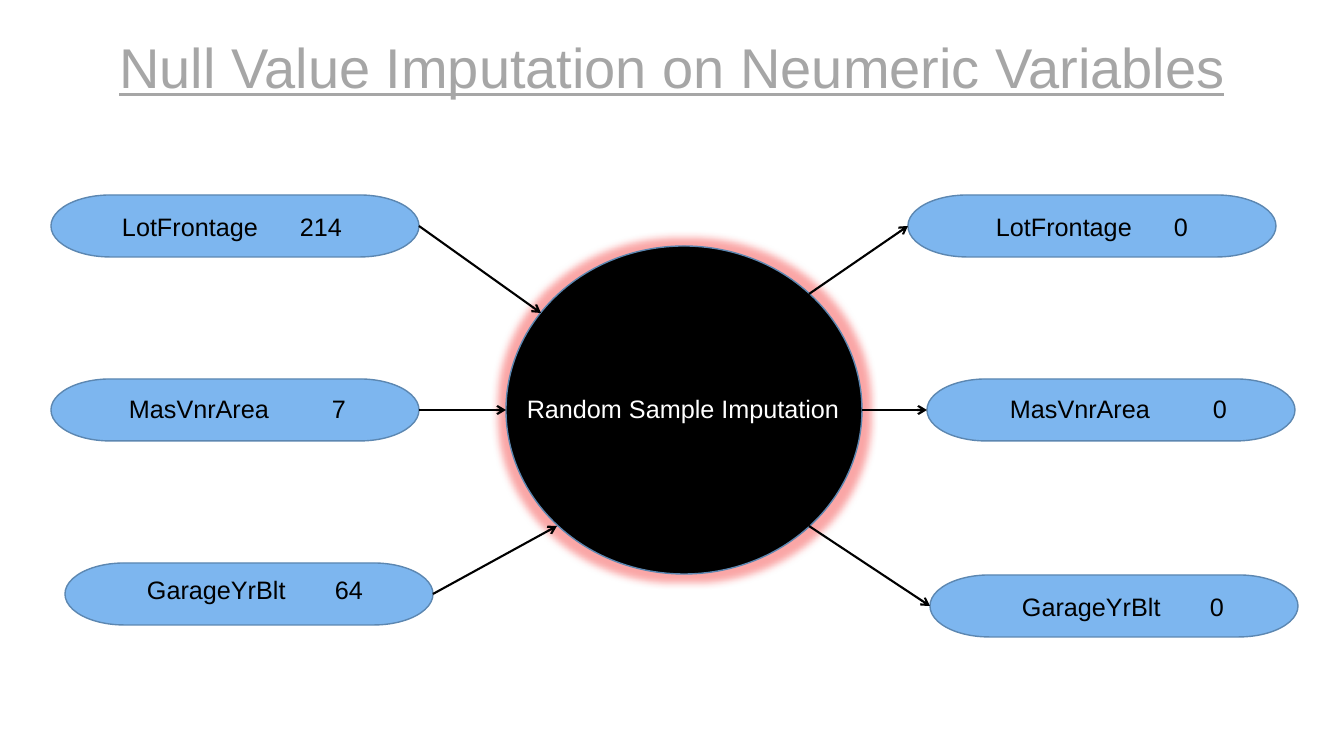
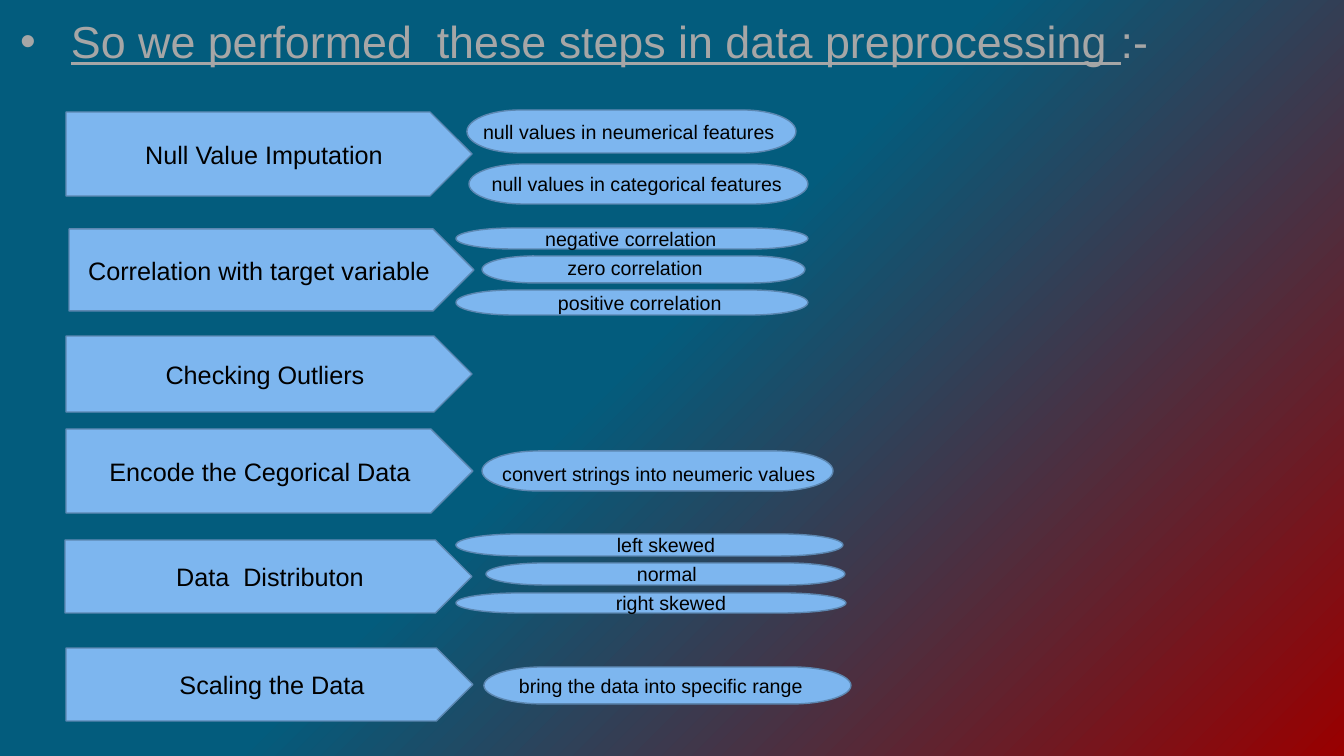
from dataclasses import dataclass

from lxml.etree import SubElement
from pptx import Presentation
from pptx.dml.color import RGBColor
from pptx.enum.shapes import MSO_CONNECTOR, MSO_SHAPE
from pptx.enum.text import MSO_ANCHOR, PP_ALIGN
from pptx.oxml.ns import qn
from pptx.util import Emu, Pt


@dataclass(frozen=True)
class Theme:
    font: str = "Arial"
    heading: str = "A6A6A6"
    node_fill: str = "7DB6EF"
    node_line: str = "5C87B1"
    dark: str = "000000"
    light: str = "FFFFFF"
    glow: str = "F32222"
    gradient: tuple = ((0, "990000"), (0.53, "035C7D"))
    title_size: int = 40
    subtitle_size: int = 32
    label_size: int = 18
    detail_size: int = 14


THEME = Theme()
SLIDE_WIDTH, SLIDE_HEIGHT = 1344, 756
EMU_PER_PX = 12192000 / SLIDE_WIDTH

NODE_WIDTH, NODE_HEIGHT = 368, 62
CIRCLE = (506, 246, 356, 328)
TERMINATOR_INSET = 1018 / 21600  # share of the width outside the text area

# variable, distance from its name to its null count
VALUE_GAPS = {"LotFrontage": 178, "MasVnrArea": 203, "GarageYrBlt": 188}

# variable, count, left, top, text left, text nudge, arrow end on the circle
BEFORE = (
    ("LotFrontage", "214", 51, 195, 122, 0, (541, 313)),
    ("MasVnrArea", "7", 51, 379, 129, -2, (506, 410)),
    ("GarageYrBlt", "64", 65, 563, 147, -5, (557, 526)),
)
AFTER = (
    ("LotFrontage", "0", 908, 195, 996, 0, (809, 294)),
    ("MasVnrArea", "0", 927, 379, 1010, -2, (862, 410)),
    ("GarageYrBlt", "0", 930, 575, 1022, 0, (809, 526)),
)

# text, box, text centre
STEPS = (
    ("Null Value Imputation", (66, 112, 406, 84), 264),
    ("Correlation with target variable", (69, 229, 405, 82), 259),
    ("Checking Outliers", (66, 336, 406, 76), 265),
    ("Encode the Cegorical Data", (66, 429, 407, 84), 260),
    ("Data  Distributon", (65, 540, 407, 73), 270),
    ("Scaling the Data", (66, 648, 407, 73), 272),
)
# text, box, text centre, text nudge
DETAILS = (
    ("null values in neumerical features", (467, 110, 329, 43), 629, 0),
    ("null values in categorical features", (469, 164, 339, 40), 637, 0),
    ("negative correlation", (456, 228, 352, 21), 631, 0),
    ("zero correlation", (482, 256, 323, 27), 635, -2),
    ("positive correlation", (456, 290, 352, 25), 640, 0),
    ("convert strings into neumeric values", (482, 451, 351, 40), 659, 3),
    ("left skewed", (456, 534, 387, 22), 666, 0),
    ("normal", (486, 563, 359, 22), 667, 0),
    ("right skewed", (456, 593, 390, 20), 671, 0),
    ("bring the data into specific range", (484, 667, 367, 37), 661, 0),
)


def px(length):
    return Emu(round(length * EMU_PER_PX))


def rgb(value):
    return RGBColor.from_string(value)


def add_run(paragraph, text, size, color, underline=False):
    run = paragraph.add_run()
    run.text = text
    run.font.name = THEME.font
    run.font.size = Pt(size)
    run.font.color.rgb = rgb(color)
    run.font.underline = underline


def add_text_box(slide, box, anchor):
    frame = slide.shapes.add_textbox(*map(px, box)).text_frame
    frame.word_wrap = True
    frame.vertical_anchor = anchor
    frame.margin_left = frame.margin_right = px(10)
    frame.margin_top = frame.margin_bottom = px(5)
    return frame


def add_node(slide, kind, box, fill=THEME.node_fill):
    shape = slide.shapes.add_shape(kind, *map(px, box))
    shape.shadow.inherit = False
    shape.fill.solid()
    shape.fill.fore_color.rgb = rgb(fill)
    shape.line.color.rgb = rgb(THEME.node_line)
    shape.line.width = Pt(1)
    return shape


def prepare_label(shape, left=0, right=0, nudge=0):
    """Set the insets; nudge moves the centred line down, or up if negative."""
    frame = shape.text_frame
    frame.vertical_anchor = MSO_ANCHOR.MIDDLE
    frame.margin_left, frame.margin_right = px(left), px(right)
    frame.margin_top = px(max(0, 2 * nudge))
    frame.margin_bottom = px(max(0, -2 * nudge))
    return frame


def label_centred(shape, text, size, color=THEME.dark, shift=0, nudge=0):
    """Write one unwrapped line, moved right by shift."""
    frame = prepare_label(shape, max(0, 2 * shift), max(0, -2 * shift), nudge)
    frame.word_wrap = False
    paragraph = frame.paragraphs[0]
    paragraph.alignment = PP_ALIGN.CENTER
    add_run(paragraph, text, size, color)


def add_variable(slide, name, count, left, top, text_left, nudge):
    """Add a variable with its null count at a tab stop."""
    shape = add_node(slide, MSO_SHAPE.FLOWCHART_TERMINATOR,
                     (left, top, NODE_WIDTH, NODE_HEIGHT))
    inset = text_left - left - NODE_WIDTH * TERMINATOR_INSET
    frame = prepare_label(shape, left=inset, nudge=nudge)
    frame.word_wrap = True
    paragraph = frame.paragraphs[0]
    paragraph.alignment = PP_ALIGN.LEFT
    tabs = SubElement(paragraph._p.get_or_add_pPr(), qn("a:tabLst"))
    SubElement(tabs, qn("a:tab"), pos=str(px(VALUE_GAPS[name])), algn="l")
    add_run(paragraph, f"{name}\t{count}", THEME.label_size, THEME.dark)
    return shape


def add_arrow(slide, start, end):
    connector = slide.shapes.add_connector(
        MSO_CONNECTOR.STRAIGHT, *map(px, (*start, *end)))
    connector.line.color.rgb = rgb(THEME.dark)
    connector.line.width = Pt(1.5)
    properties = connector._element.spPr
    SubElement(properties.find(qn("a:ln")), qn("a:tailEnd"), type="arrow")
    SubElement(properties, qn("a:effectLst"))
    return connector


def add_glow(shape):
    effects = shape._element.spPr.find(qn("a:effectLst"))
    glow = SubElement(effects, qn("a:glow"), rad=str(px(15)))
    color = SubElement(glow, qn("a:srgbClr"), val=THEME.glow)
    SubElement(color, qn("a:alpha"), val="40000")


def set_gradient_background(slide):
    fill = slide.background.fill
    fill.gradient()
    fill.gradient_angle = 135
    for stop, (position, color) in zip(fill.gradient_stops, THEME.gradient):
        stop.position = position
        stop.color.rgb = rgb(color)


def add_bulleted_heading(slide, runs):
    paragraph = add_text_box(
        slide, (10, 9, 1324, 62), MSO_ANCHOR.TOP).paragraphs[0]
    properties = paragraph._p.get_or_add_pPr()
    properties.set("marL", str(px(51)))
    properties.set("indent", str(-px(51)))
    SubElement(properties, qn("a:buFont"), typeface=THEME.font)
    SubElement(properties, qn("a:buChar"), char="•")
    for text, underline in runs:
        add_run(paragraph, text, THEME.subtitle_size, THEME.heading, underline)


def build_imputation_slide(slide):
    title = add_text_box(
        slide, (67, 11, 1210, 111), MSO_ANCHOR.MIDDLE).paragraphs[0]
    title.alignment = PP_ALIGN.CENTER
    add_run(title, "Null Value Imputation on Neumeric Variables",
            THEME.title_size, THEME.heading, underline=True)

    circle = add_node(slide, MSO_SHAPE.OVAL, CIRCLE, THEME.dark)
    add_glow(circle)
    label_centred(circle, "Random Sample Imputation", THEME.label_size,
                  THEME.light, shift=-1, nudge=-2)

    for *variable, circle_point in BEFORE:
        node = add_variable(slide, *variable)
        arrow = add_arrow(slide, circle_point, circle_point)
        arrow.begin_connect(node, 3)
    for *variable, circle_point in AFTER:
        node = add_variable(slide, *variable)
        arrow = add_arrow(slide, circle_point, circle_point)
        arrow.end_connect(node, 1)


def build_steps_slide(slide):
    set_gradient_background(slide)
    add_bulleted_heading(slide, (
        ("So we performed  these steps in data preprocessing ", True),
        (":-", False),
    ))
    for text, box, text_centre in STEPS:
        left, _, width, height = box
        area_centre = left + width / 2 - height / 8  # the tip narrows the area
        label_centred(add_node(slide, MSO_SHAPE.PENTAGON, box), text,
                      THEME.label_size, shift=text_centre - area_centre)
    for text, box, text_centre, nudge in DETAILS:
        left, _, width, _ = box
        label_centred(add_node(slide, MSO_SHAPE.FLOWCHART_TERMINATOR, box),
                      text, THEME.detail_size,
                      shift=text_centre - left - width / 2, nudge=nudge)


def main():
    presentation = Presentation()
    presentation.slide_width = px(SLIDE_WIDTH)
    presentation.slide_height = px(SLIDE_HEIGHT)
    blank = presentation.slide_layouts[6]
    for build in (build_imputation_slide, build_steps_slide):
        build(presentation.slides.add_slide(blank))
    presentation.save("out.pptx")


if __name__ == "__main__":
    main()
